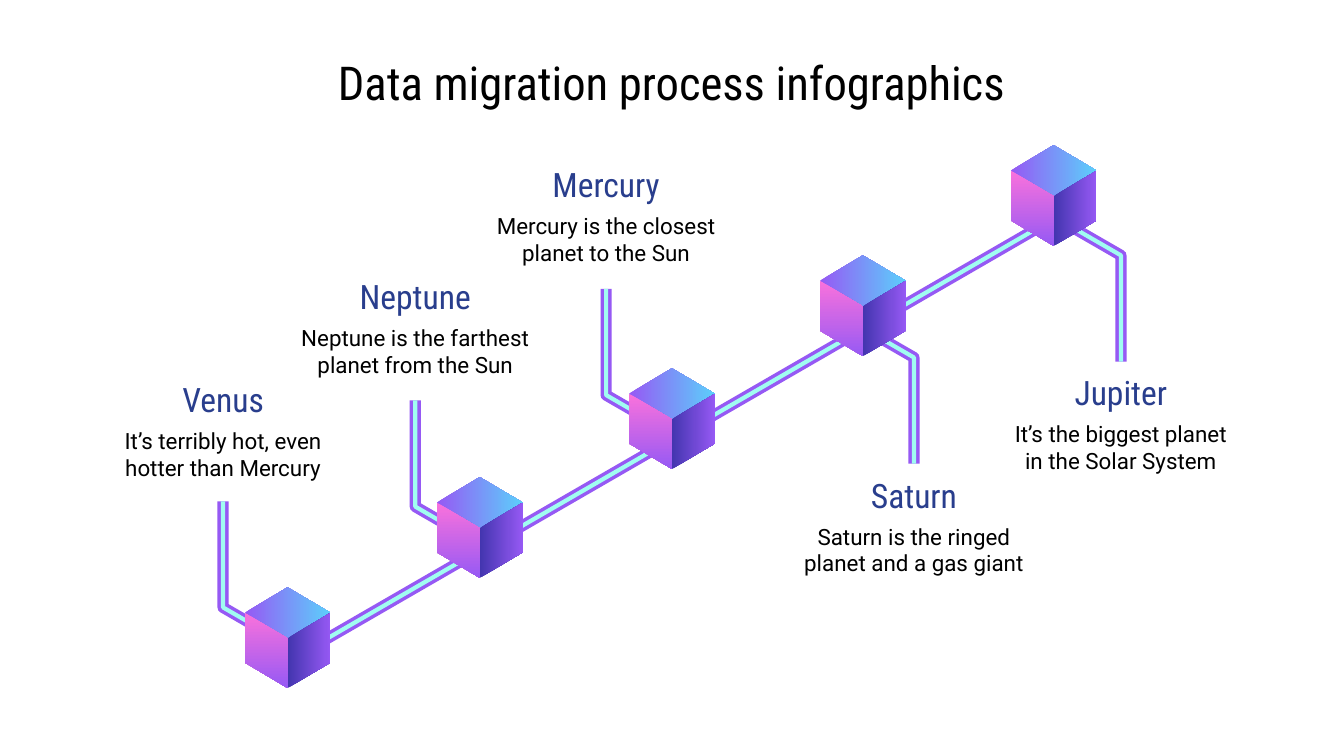
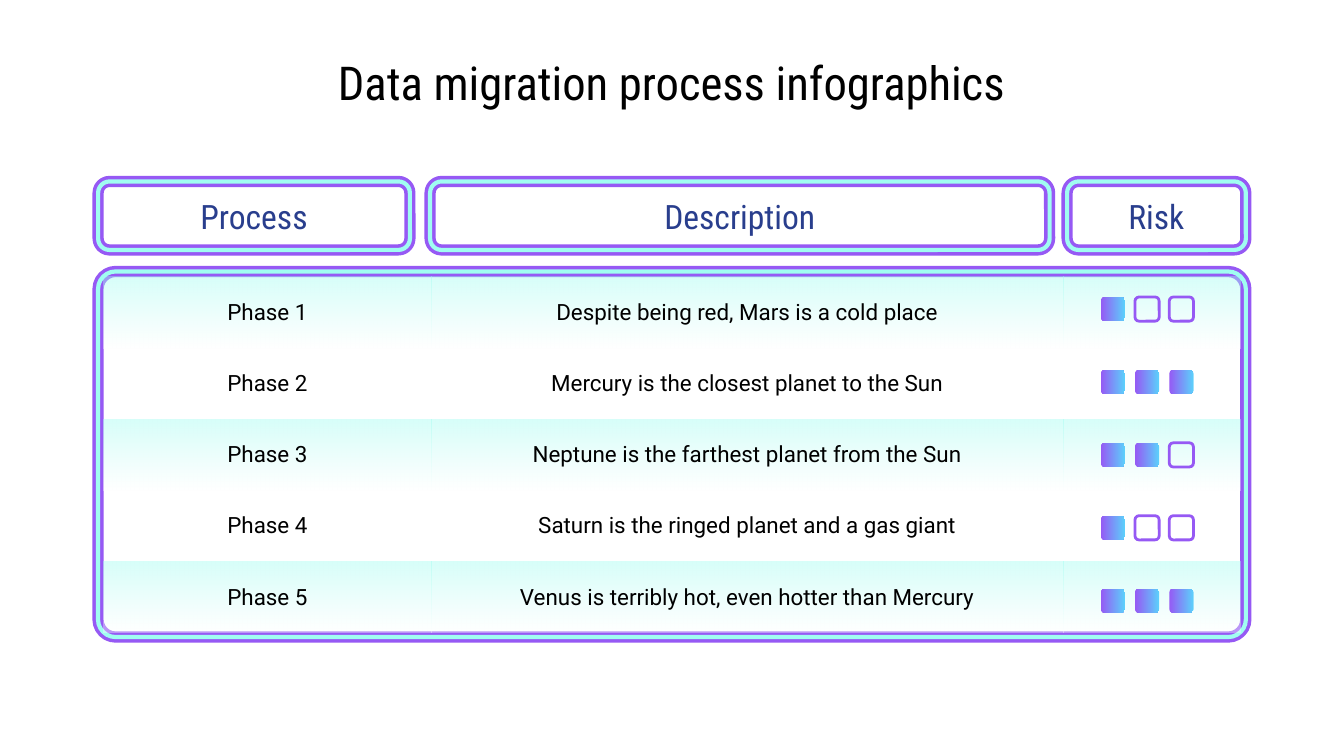
"""Build two data migration slides: a stepped cube path and a risk table."""
from lxml import etree
from pptx import Presentation
from pptx.dml.color import RGBColor
from pptx.enum.shapes import MSO_CONNECTOR, MSO_SHAPE
from pptx.enum.text import MSO_ANCHOR, PP_ALIGN
from pptx.oxml.ns import qn
from pptx.util import Inches, Pt

CENTER = PP_ALIGN.CENTER
MIDDLE = MSO_ANCHOR.MIDDLE
ROUNDED = MSO_SHAPE.ROUNDED_RECTANGLE
STRAIGHT = MSO_CONNECTOR.STRAIGHT

COLORS = {
    "ink": "000000", "navy": "293E8D", "violet": "9659F4", "mint": "A0FDF1",
    "sky": "5CCFFB", "pink": "FA72DC", "indigo": "4335AF", "white": "FFFFFF",
}
STYLES = {
    "title": ("Roboto Condensed", 25, "ink"),
    "heading": ("Roboto Condensed", 18, "navy"),
    "body": ("Roboto", 12, "ink"),
}
PIPE = [("violet", 6), ("mint", 2.25)]
ACROSS, DOWN = 0, 270

TITLE = "Data migration process infographics"

STEPS = [
    {"name": "Venus", "text": "It’s terribly hot, even hotter than Mercury",
     "cube": (2.14, 4.37), "elbow": (1.66, 3.73), "side": "left", "label": 2.83},
    {"name": "Neptune", "text": "Neptune is the farthest planet from the Sun",
     "cube": (3.57, 3.55), "elbow": (3.09, 2.98), "side": "left", "label": 2.06},
    {"name": "Mercury", "text": "Mercury is the closest planet to the Sun",
     "cube": (5.0, 2.74), "elbow": (4.51, 2.15), "side": "left", "label": 1.23},
    {"name": "Saturn", "text": "Saturn is the ringed planet and a gas giant",
     "cube": (6.42, 1.9), "elbow": (6.28, 2.36), "side": "right", "label": 3.54},
    {"name": "Jupiter", "text": "It’s the biggest planet in the Solar System",
     "cube": (7.84, 1.08), "elbow": (7.82, 1.6), "side": "right", "label": 2.78},
]
SPINE = (7.82, 1.64, 2.09, 4.95)
ELBOWS = {
    "left": [(0.52, 1.09), (0, 0.79), (0, 0)],
    "right": [(0, 0), (0.52, 0.3), (0.52, 1.09)],
}
CUBE_FACES = [
    ([(0, 0.38), (-0.32, 0.19), (0, 0), (0.32, 0.19)], "violet", "sky", ACROSS),
    ([(-0.32, 0.19), (-0.32, 0.56), (0, 0.75), (0, 0.38)], "pink", "violet", DOWN),
    ([(0.32, 0.19), (0, 0.38), (0, 0.75), (0.32, 0.56)], "indigo", "violet", ACROSS),
]

HEADERS = [("Process", 0.73, 2.32), ("Description", 3.2, 4.61), ("Risk", 7.94, 1.33)]
PHASES = [
    ("Phase 1", "Despite being red, Mars is a cold place", 1),
    ("Phase 2", "Mercury is the closest planet to the Sun", 3),
    ("Phase 3", "Neptune is the farthest planet from the Sun", 2),
    ("Phase 4", "Saturn is the ringed planet and a gas giant", 1),
    ("Phase 5", "Venus is terribly hot, even hotter than Mercury", 3),
]
COLUMN_WIDTHS = [2.44, 4.7, 1.32]
ROW_HEIGHT = 0.53
MAX_RISK = 3


def rgb(name):
    return RGBColor.from_string(COLORS[name])


def write(frame, text, style):
    font, size, color = STYLES[style]
    frame.text = text
    para = frame.paragraphs[0]
    para.alignment = CENTER
    span = para.runs[0]
    span.font.name = font
    span.font.size = Pt(size)
    span.font.color.rgb = rgb(color)


def set_margins(frame, inches):
    frame.margin_left = frame.margin_right = Inches(inches)
    frame.margin_top = frame.margin_bottom = Inches(inches)


def add_text(page, text, style, left, top, width, height):
    box = page.shapes.add_textbox(*map(Inches, (left, top, width, height)))
    box.text_frame.word_wrap = True
    box.text_frame.vertical_anchor = MIDDLE
    set_margins(box.text_frame, 0.1)
    write(box.text_frame, text, style)


def set_gradient(fill, start, end, angle):
    fill.gradient()
    fill.gradient_angle = angle
    for stop, color in zip(fill.gradient_stops, (start, end)):
        stop.color.rgb = rgb(color)


def set_line(line, color, width):
    line.color.rgb = rgb(color)
    line.width = Pt(width)


def add_outline(page, points, origin, closed):
    x, y = origin
    corners = [(Inches(x + dx), Inches(y + dy)) for dx, dy in points]
    builder = page.shapes.build_freeform(*corners[0])
    builder.add_line_segments(corners[1:], close=closed)
    shape = builder.convert_to_shape()
    shape.shadow.inherit = False
    return shape


def add_elbow(page, step):
    for color, width in PIPE:
        shape = add_outline(page, ELBOWS[step["side"]], step["elbow"], False)
        shape.fill.background()
        set_line(shape.line, color, width)


def add_spine(page):
    for color, width in PIPE:
        spine = page.shapes.add_connector(STRAIGHT, *map(Inches, SPINE))
        set_line(spine.line, color, width)
        etree.SubElement(spine._element.spPr, qn("a:effectLst"))


def add_cube(page, apex):
    for points, start, end, angle in CUBE_FACES:
        face = add_outline(page, points, apex, True)
        set_gradient(face.fill, start, end, angle)
        face.line.fill.background()


def add_label(page, step):
    leg = step["elbow"][0] + (0.52 if step["side"] == "right" else 0)
    left, top, width = leg - 0.96, step["label"], 1.92
    add_text(page, step["name"], "heading", left, top, width, 0.28)
    add_text(page, step["text"], "body", left, top + 0.27, width, 0.56)


def add_rounded(page, left, top, width, height, corner=0.167):
    shape = page.shapes.add_shape(ROUNDED, *map(Inches, (left, top, width, height)))
    shape.adjustments[0] = corner
    shape.shadow.inherit = False
    return shape


def add_frame(page, left, top, width, height, corner=0.167):
    for color, line_width in PIPE:
        shape = add_rounded(page, left, top, width, height, corner)
        shape.fill.background()
        set_line(shape.line, color, line_width)
    return shape


def tint_cell(cell):
    set_gradient(cell.fill, "mint", "white", DOWN)
    for color, opacity in zip(cell._tc.iter(qn("a:srgbClr")), (42, 37)):
        etree.SubElement(color, qn("a:alpha")).set("val", str(opacity * 1000))


def clear_borders(cell):
    properties = cell._tc.get_or_add_tcPr()
    for position, side in enumerate(("lnL", "lnR", "lnT", "lnB")):
        border = etree.Element(qn(f"a:{side}"))
        etree.SubElement(border, qn("a:noFill"))
        properties.insert(position, border)


def add_phase_table(page):
    area = (0.77, 2.06, sum(COLUMN_WIDTHS), ROW_HEIGHT * len(PHASES))
    table = page.shapes.add_table(
        len(PHASES), len(COLUMN_WIDTHS), *map(Inches, area)).table
    table.first_row = table.horz_banding = False
    for column, width in zip(table.columns, COLUMN_WIDTHS):
        column.width = Inches(width)
    for row, phase in enumerate(PHASES):
        table.rows[row].height = Inches(ROW_HEIGHT)
        for column in range(len(COLUMN_WIDTHS)):
            cell = table.cell(row, column)
            set_margins(cell, 0)
            cell.vertical_anchor = MIDDLE
            if row % 2 == 0:
                tint_cell(cell)
            else:
                cell.fill.background()
            clear_borders(cell)
            if column < 2:
                write(cell.text_frame, phase[column], "body")


def add_risk_marks(page):
    for row, (_, _, risk) in enumerate(PHASES):
        for place in range(MAX_RISK):
            mark = add_rounded(page, 8.19 + 0.255 * place, 2.21 + 0.5425 * row, 0.18, 0.18)
            if place < risk:
                set_gradient(mark.fill, "violet", "sky", ACROSS)
                mark.line.fill.background()
            else:
                mark.fill.background()
                set_line(mark.line, "violet", 1.5)


def add_title(page):
    add_text(page, TITLE, "title", 0.56, 0.33, 8.87, 0.56)


def build_path_slide(page):
    for step in STEPS:
        add_elbow(page, step)
    add_title(page)
    add_spine(page)
    for step in STEPS:
        add_cube(page, step["cube"])
    for step in STEPS:
        add_label(page, step)


def build_table_slide(page):
    add_title(page)
    for text, left, width in HEADERS:
        header = add_frame(page, left, 1.35, width, 0.51)
        header.text_frame.vertical_anchor = MIDDLE
        set_margins(header.text_frame, 0.1)
        write(header.text_frame, text, "heading")
    add_frame(page, 0.73, 2.02, 8.54, 2.72, 0.048)
    add_phase_table(page)
    add_risk_marks(page)


def main():
    deck = Presentation()
    deck.slide_width, deck.slide_height = Inches(10), Inches(5.625)
    blank = deck.slide_layouts[6]
    for build in (build_path_slide, build_table_slide):
        build(deck.slides.add_slide(blank))
    deck.save("out.pptx")


if __name__ == "__main__":
    main()
